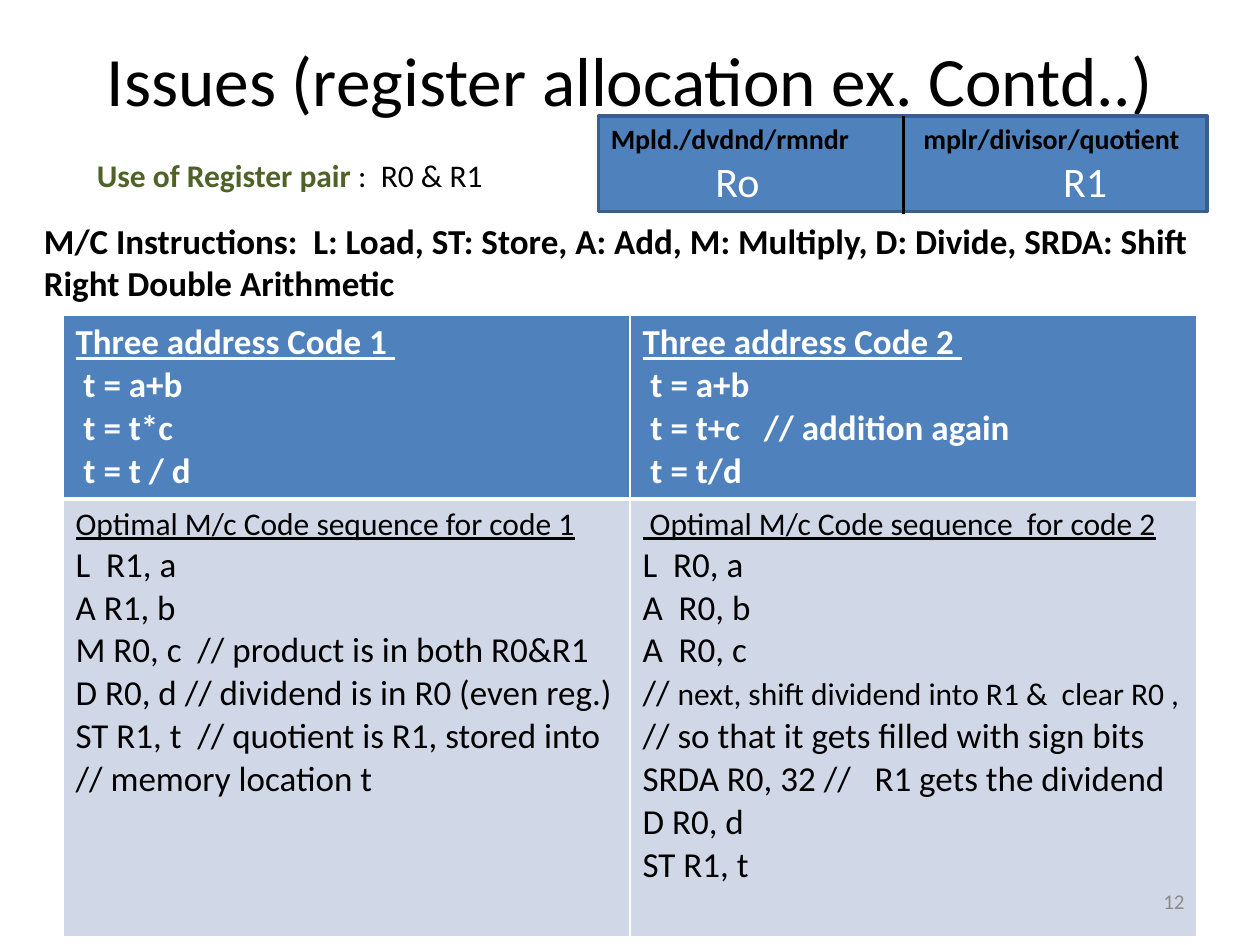
from dataclasses import dataclass, replace
from typing import Any

from lxml.etree import SubElement
from pptx import Presentation
from pptx.dml.color import RGBColor
from pptx.enum.shapes import MSO_CONNECTOR as Link, MSO_SHAPE as Form
from pptx.enum.text import MSO_ANCHOR as Anchor, PP_ALIGN as Align
from pptx.oxml import parse_xml
from pptx.oxml.ns import qn
from pptx.util import Inches, Pt

BLACK = RGBColor(0x00, 0x00, 0x00)
WHITE = RGBColor(0xFF, 0xFF, 0xFF)
BLUE = RGBColor(0x4F, 0x81, 0xBD)
NAVY = RGBColor(0x3A, 0x5F, 0x8C)
PALE = RGBColor(0xD0, 0xD8, 0xE8)
GREEN = RGBColor(0x4F, 0x62, 0x28)
GRAY = RGBColor(0x8C, 0x8C, 0x8C)
FONT = "Calibri"
MAIN = "http://schemas.openxmlformats.org/drawingml/2006/main"


@dataclass(frozen=True)
class Style:
    size: float
    color: RGBColor = BLACK
    bold: bool = False
    under: bool = False


@dataclass(frozen=True)
class Span:
    text: str
    style: Style


@dataclass(frozen=True)
class Label:
    box: tuple[float, float, float, float]
    spans: list[Span]
    align: Align = Align.LEFT
    anchor: Anchor = Anchor.TOP


@dataclass(frozen=True)
class Block:
    lines: list[list[Span]]
    fill: RGBColor
    top: float
    base: float


HEAD = Style(20, WHITE, bold=True)
CODE = Style(20)
NOTE = Style(18)
STRONG = Style(20, bold=True)


def listing(title: Span, rows: list[str], style: Style) -> list[list[Span]]:
    top = Span(title.text, replace(title.style, under=True))
    return [[top]] + [[Span(row, style)] for row in rows]


LABELS = [
    Label((0.5, 0, 9, 1.25),
          [Span("Issues (register allocation ex. Contd..)", Style(39.6))],
          Align.CENTER, Anchor.MIDDLE),
    Label((7.17, 6.95, 2.33, 0.4), [Span("12", Style(12, GRAY))],
          Align.RIGHT, Anchor.MIDDLE),
    Label((0.67, 1.19, 5.25, 0.4),
          [Span("Use of Register pair ", Style(18, GREEN, bold=True)),
           Span(":  R0 & R1", NOTE)]),
    Label((0.25, 1.69, 9.75, 0.77),
          [Span("M/C Instructions:  L: Load, ST: Store, A: Add, M: Multiply, "
                "D: Divide, SRDA: Shift Right Double Arithmetic", STRONG)]),
]

FIRST = listing(Span("Optimal M/c Code sequence for code 1", NOTE), [
    "L  R1, a",
    "A R1, b",
    "M R0, c  // product is in both R0&R1",
    "D R0, d // dividend is in R0 (even reg.)",
    "ST R1, t  // quotient is R1, stored into",
    "// memory location t",
], CODE)

SECOND = listing(Span(" Optimal M/c Code sequence  for code 2", NOTE), [
    "L  R0, a",
    "A  R0, b",
    "A  R0, c",
    "// ",
    "// so that it gets filled with sign bits",
    "SRDA R0, 32 //   R1 gets the dividend",
    "D R0, d",
    "ST R1, t",
], CODE)
SECOND[4].append(Span("next, shift dividend into R1 &  clear R0 ,", NOTE))

GRID = [
    [Block(listing(Span(f"Three address Code {num} ", HEAD), rows, HEAD), BLUE, 1, 3)
     for num, rows in enumerate([
         [" t = a+b", " t = t*c", " t = t / d"],
         [" t = a+b", " t = t+c   // addition again", " t = t/d"],
     ], 1)],
    [Block(lines, PALE, 3, 1) for lines in (FIRST, SECOND)],
]
HEIGHTS = [1.45, 3.47]


def write(frame: Any, lines: list[list[Span]], align: Align = Align.LEFT) -> None:
    for num, spans in enumerate(lines):
        para = frame.paragraphs[0] if num == 0 else frame.add_paragraph()
        para.alignment = align
        for span in spans:
            run = para.add_run()
            run.text = span.text
            font = run.font
            font.name = FONT
            font.size = Pt(span.style.size)
            font.bold = span.style.bold
            font.underline = span.style.under
            font.color.rgb = span.style.color


def draw_label(slide: Any, label: Label) -> None:
    box = slide.shapes.add_textbox(*map(Inches, label.box))
    frame = box.text_frame
    frame.word_wrap = True
    frame.vertical_anchor = label.anchor
    write(frame, [label.spans], label.align)


def set_edge(cell: Any, side: str, width: float, order: int) -> None:
    edge = parse_xml(
        f'<a:{side} xmlns:a="{MAIN}" w="{Pt(width)}"><a:solidFill>'
        f'<a:srgbClr val="{WHITE}"/></a:solidFill></a:{side}>')
    cell._tc.get_or_add_tcPr().insert(order, edge)


def draw_table(slide: Any) -> None:
    area = map(Inches, (0.5, 2.5, 9, sum(HEIGHTS)))
    table = slide.shapes.add_table(len(GRID), len(GRID[0]), *area).table
    for row, height in zip(table.rows, HEIGHTS):
        row.height = Inches(height)
    for row, blocks in zip(table.rows, GRID):
        for cell, block in zip(row.cells, blocks):
            cell.fill.solid()
            cell.fill.fore_color.rgb = block.fill
            write(cell.text_frame, block.lines)
            edges = {"lnL": 1, "lnR": 1, "lnT": block.top, "lnB": block.base}
            for order, (side, width) in enumerate(edges.items()):
                set_edge(cell, side, width, order)


def set_tabs(para: Any, stops: list[float]) -> None:
    tabs = SubElement(para._p.get_or_add_pPr(), qn("a:tabLst"))
    for stop in stops:
        SubElement(tabs, qn("a:tab"), pos=str(Inches(stop)), algn="l")


def draw_pair(slide: Any) -> None:
    box = slide.shapes.add_shape(
        Form.RECTANGLE, *map(Inches, (4.75, 0.92, 4.83, 0.76)))
    box.shadow.inherit = False
    box.fill.solid()
    box.fill.fore_color.rgb = BLUE
    box.line.color.rgb = NAVY
    box.line.width = Pt(2)
    frame = box.text_frame
    frame.word_wrap = True
    frame.vertical_anchor = Anchor.MIDDLE
    write(frame, [
        [Span("Mpld./dvdnd/rmndr\tmplr/divisor/quotient", Style(16, bold=True))],
        [Span("\tRo\tR1", Style(24, WHITE))],
    ])
    for para, stops in zip(frame.paragraphs, ([2.48], [0.83, 3.59])):
        set_tabs(para, stops)
    rule = slide.shapes.add_connector(
        Link.STRAIGHT, *map(Inches, (7.17, 0.92, 7.17, 1.7)))
    rule.line.color.rgb = BLACK
    rule.line.width = Pt(2)
    SubElement(rule._element.spPr, qn("a:effectLst"))


def main() -> None:
    deck = Presentation()
    deck.slide_width = Inches(10)
    deck.slide_height = Inches(7.5)
    slide = deck.slides.add_slide(deck.slide_layouts[6])
    draw_table(slide)
    for label in LABELS:
        draw_label(slide, label)
    draw_pair(slide)
    deck.save("out.pptx")


if __name__ == "__main__":
    main()
